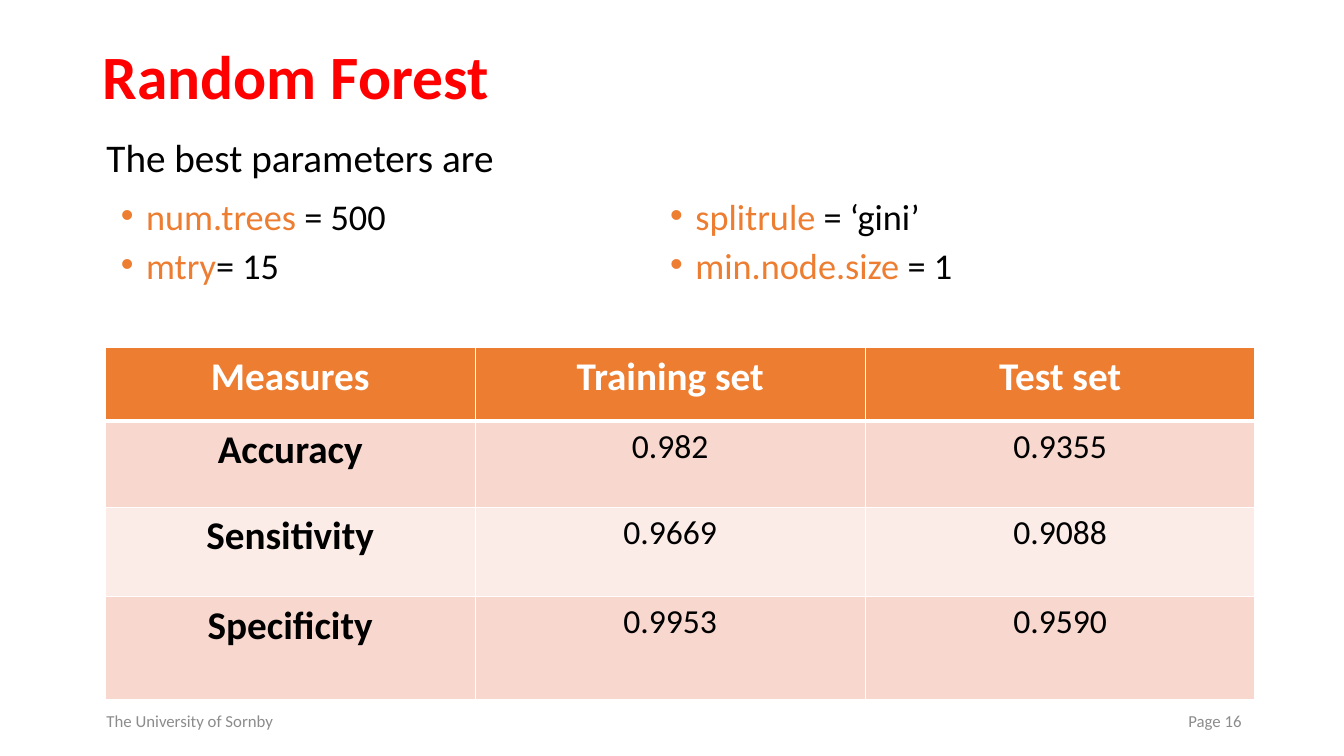
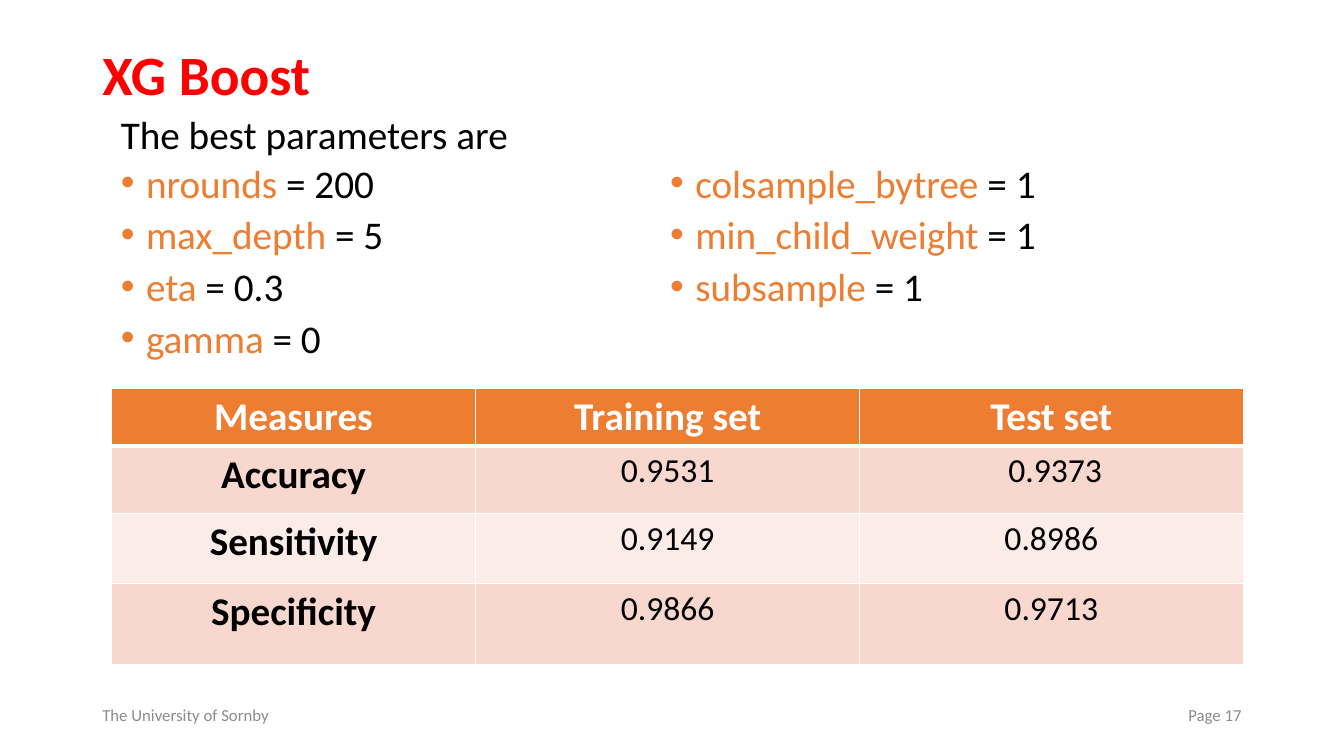
"""Build two slides of model parameters and scores."""
from lxml import etree
from pptx import Presentation, util as u
from pptx.dml.color import RGBColor
from pptx.enum import text as t
from pptx.oxml.ns import qn

HUES = {"title": "FF0000", "main": "ED7D31", "dark": "F8D7CE", "pale": "FCECE8",
        "text": "000000", "foot": "8C8C8C", "white": "FFFFFF"}
FONT = "Calibri"
WIDE, HIGH = 960, 540
GAP = 392.4
COLS = (0.322, 0.339, 0.339)
ROWS = (0.209, 0.244, 0.255, 0.292)
HEAD = ("Measures", "Training set", "Test set")
LEFT, MID, RIGHT = t.PP_ALIGN.LEFT, t.PP_ALIGN.CENTER, t.PP_ALIGN.RIGHT

DECK = (
    {"title": "Random Forest", "size": 44, "top": 33,
     "intro": (69, 92), "list": (79.2, 141, 104), "bullet": 25.9,
     "params": ((("num.trees", " = 500"), ("mtry", "= 15")),
                (("splitrule", " = ‘gini’"), ("min.node.size", " = 1"))),
     "table": (75, 248.4, 821.5, 251.3),
     "scores": (("Accuracy", "0.982", "0.9355"),
                ("Sensitivity", "0.9669", "0.9088"),
                ("Specificity", "0.9953", "0.9590")),
     "foot": (69, 500), "page": "Page 16"},
    {"title": "XG Boost", "size": 39.6, "top": 31.6,
     "intro": (79.2, 75.6), "list": (79.2, 116.6, 151), "bullet": 28,
     "params": ((("nrounds", " = 200"), ("max_depth", " = 5"),
                 ("eta", " = 0.3"), ("gamma", " = 0")),
                (("colsample_bytree", " = 1"), ("min_child_weight", " = 1"),
                 ("subsample", " = 1"))),
     "table": (79.5, 277.2, 808.5, 197.3),
     "scores": (("Accuracy", "0.9531", " 0.9373"),
                ("Sensitivity", "0.9149", "0.8986"),
                ("Specificity", "0.9866", "0.9713")),
     "foot": (66, 496), "page": "Page 17"},
)


def style(run, size, hue, bold=False):
    """Format one run."""
    font = run.font
    font.name, font.size, font.bold = FONT, u.Pt(size), bold
    font.color.rgb = RGBColor.from_string(HUES[hue])


def write(frame, words, size, hue, bold=False, align=LEFT):
    """Fill a text frame with one formatted paragraph."""
    frame.text = words
    para = frame.paragraphs[0]
    para.alignment = align
    style(para.runs[0], size, hue, bold)
    return para


def frame_at(slide, x, y, w, h):
    """Add a wrapping text box and return its frame."""
    frame = slide.shapes.add_textbox(*map(u.Pt, (x, y, w, h))).text_frame
    frame.word_wrap = True
    return frame


def add_title(slide, words, size, top):
    """Place and format the title placeholder."""
    title = slide.shapes.title
    title.left, title.top, title.width, title.height = map(u.Pt, (66, top, 828, 48))
    frame = title.text_frame
    frame.auto_size = t.MSO_AUTO_SIZE.NONE
    frame.vertical_anchor = t.MSO_ANCHOR.MIDDLE
    write(frame, words, size, "title", True).line_spacing = 0.9


def add_foot(slide, x, y, page):
    """Place the owner and the page label."""
    for left, wide, words, align in ((x, 324, "The University of Sornby", LEFT),
                                     (678, 216, page, RIGHT)):
        frame = frame_at(slide, left, y, wide, 29)
        frame.vertical_anchor = t.MSO_ANCHOR.MIDDLE
        write(frame, words, 12, "foot", align=align)


def add_bullet(para):
    """Give a paragraph a hanging bullet."""
    props = para._p.get_or_add_pPr()
    props.set("marL", str(u.Pt(18)))
    props.set("indent", str(u.Pt(-18)))
    etree.SubElement(props, qn("a:buFont"), typeface="Arial")
    etree.SubElement(props, qn("a:buChar"), char="•")


def add_list(slide, x, y, h, groups, size):
    """Place the parameter groups side by side."""
    for col, group in enumerate(groups):
        frame = frame_at(slide, x + col * GAP, y, GAP + 14.4, h)
        for row, (name, value) in enumerate(group):
            para = frame.add_paragraph() if row else frame.paragraphs[0]
            para.line_spacing, para.space_before = 0.8, u.Pt(10)
            add_bullet(para)
            for words, hue in ((name, "main"), (value, "text")):
                run = para.add_run()
                run.text = words
                style(run, size, hue)


def add_edges(cell, top, base):
    """Draw the white borders of a cell."""
    props = cell._tc.get_or_add_tcPr()
    for side, width in (("L", 1), ("R", 1), ("T", top), ("B", base)):
        line = etree.SubElement(props, qn(f"a:ln{side}"), w=str(u.Pt(width)))
        fill = etree.SubElement(line, qn("a:solidFill"))
        etree.SubElement(fill, qn("a:srgbClr"), val=HUES["white"])


def add_scores(slide, x, y, w, h, scores):
    """Place the score table, sized by shares of its box."""
    data = (HEAD, *scores)
    box = map(u.Pt, (x, y, w, h))
    table = slide.shapes.add_table(len(data), len(HEAD), *box).table
    table.horz_banding = False
    for col, share in zip(table.columns, COLS):
        col.width = u.Pt(w * share)
    for r, line in enumerate(data):
        table.rows[r].height = u.Pt(h * ROWS[r])
        back = "main" if r == 0 else "dark" if r % 2 else "pale"
        for c, words in enumerate(line):
            cell = table.cell(r, c)
            label = r == 0 or c == 0
            write(cell.text_frame, words, 28 if label else 24,
                  "text" if r else "white", label, MID)
            add_edges(cell, 3 if r == 1 else 1, 1 if r else 3)
            cell.fill.solid()
            cell.fill.fore_color.rgb = RGBColor.from_string(HUES[back])


def add_model(deck, model):
    """Build one model slide."""
    slide = deck.slides.add_slide(deck.slide_layouts[5])
    add_title(slide, model["title"], model["size"], model["top"])
    add_foot(slide, *model["foot"], model["page"])
    add_scores(slide, *model["table"], model["scores"])
    write(frame_at(slide, *model["intro"], 380, 41),
          "The best parameters are", 28, "text")
    add_list(slide, *model["list"], model["params"], model["bullet"])


def main():
    """Build and save the deck."""
    deck = Presentation()
    deck.slide_width, deck.slide_height = u.Pt(WIDE), u.Pt(HIGH)
    for model in DECK:
        add_model(deck, model)
    deck.save("out.pptx")


if __name__ == "__main__":
    main()
